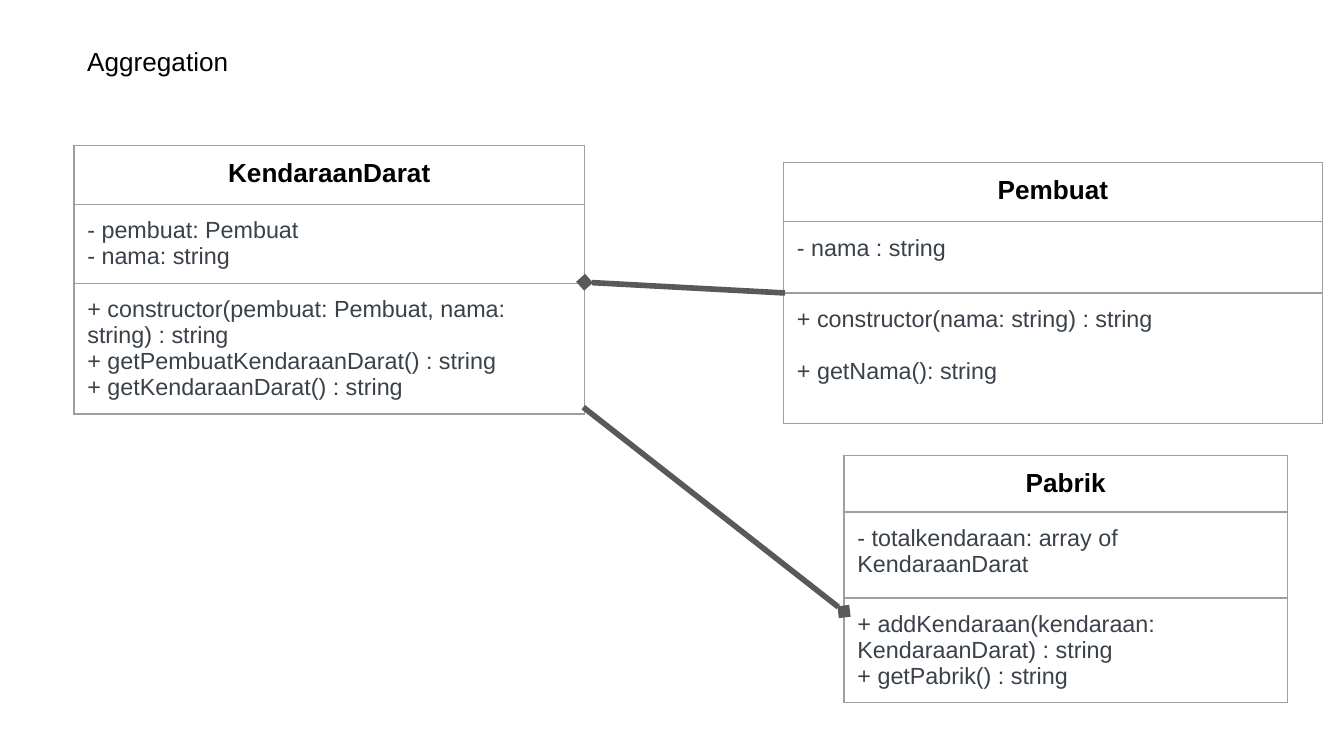
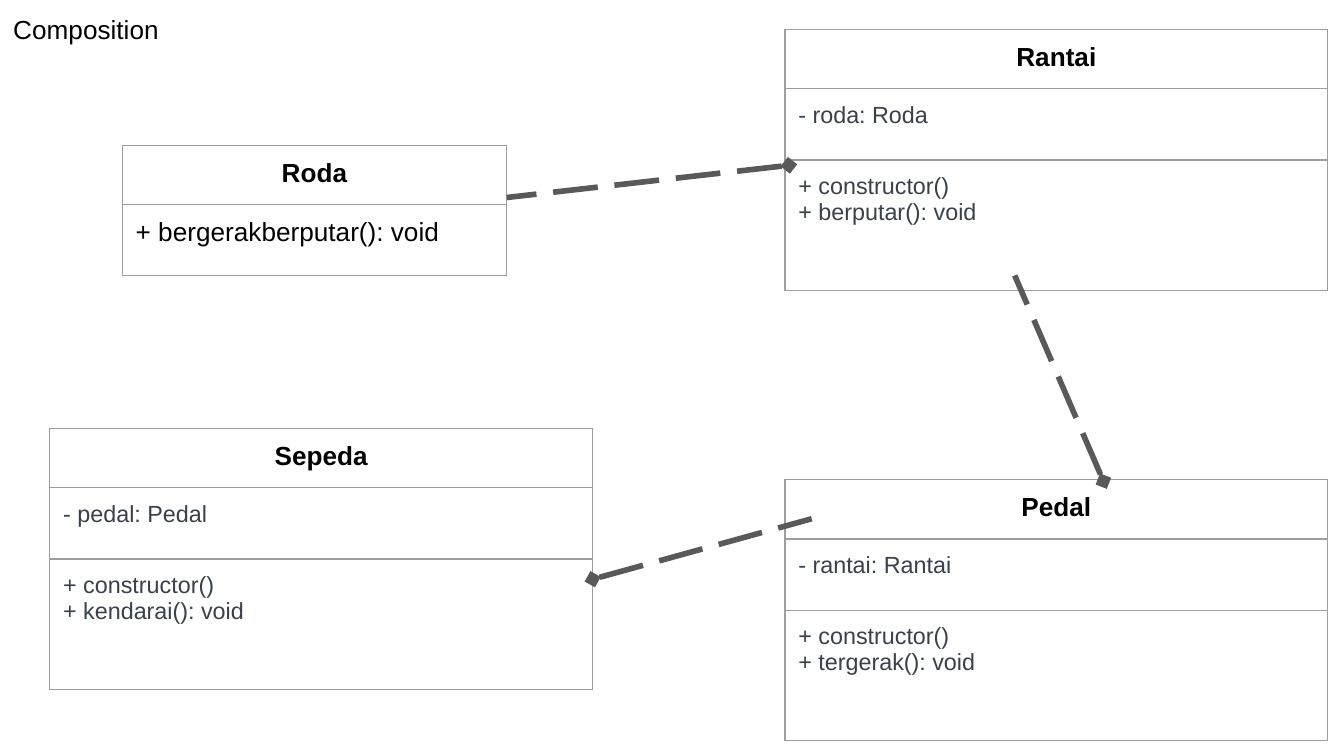
from lxml import etree
from pptx import Presentation
from pptx.dml.color import RGBColor
from pptx.enum import dml, shapes, text
from pptx.oxml import ns
from pptx.util import Inches, Pt

FONT = "Arial"
BLACK = RGBColor(0x00, 0x00, 0x00)
SLATE = RGBColor(0x3A, 0x41, 0x4A)
LINE_GRAY = RGBColor(0x59, 0x59, 0x59)
BORDER_GRAY = RGBColor(0x9E, 0x9E, 0x9E)

NAME_STYLE = {"name": FONT, "size": Pt(14), "bold": True}
TITLE_STYLE = {"name": FONT, "size": Pt(14), "bold": False}
MEMBER_STYLE = {"name": FONT, "size": Pt(12.5), "bold": False}
LARGE_MEMBERS = (TITLE_STYLE, BLACK)
SMALL_MEMBERS = (MEMBER_STYLE, SLATE)

MARGINS = {f"margin_{side}": Inches(0.1) for side in ("left", "top", "right", "bottom")}
FRAME_SIZE = Inches(3.28)
ROWS = (0.44, 0.53, 0.97)

# title: text, box; class: name, (left, top, width), row heights, members, spacing in points
# link: from, to, end that carries the diamond
DIAGRAMS = [
    {
        "title": ("Aggregation", (0.55, 0.24, 1.57, 0.43)),
        "dash": None,
        "classes": [
            ("KendaraanDarat", (0.55, 1.08, 3.8), ROWS, [
                ["- pembuat: Pembuat", "- nama: string"],
                ["+ constructor(pembuat: Pembuat, nama: string) : string",
                 "+ getPembuatKendaraanDarat() : string",
                 "+ getKendaraanDarat() : string"],
            ], 0, SMALL_MEMBERS),
            ("Pembuat", (5.83, 1.21, 4.01), ROWS, [
                ["- nama : string"],
                ["+ constructor(nama: string) : string", "+ getNama(): string"],
            ], 14, SMALL_MEMBERS),
            ("Pabrik", (6.28, 3.39, 3.3), (0.37, 0.64, 0.71), [
                ["- totalkendaraan: array of KendaraanDarat"],
                ["+ addKendaraan(kendaraan: KendaraanDarat) : string",
                 "+ getPabrik() : string"],
            ], 0, SMALL_MEMBERS),
        ],
        "links": [
            ((4.35, 2.1), (5.84, 2.18), "headEnd"),
            ((4.34, 3.03), (6.28, 4.55), "tailEnd"),
        ],
    },
    {
        "title": ("Composition", (0, 0, 3.28, 0.44)),
        "dash": dml.MSO_LINE.LONG_DASH,
        "classes": [
            ("Roda", (0.91, 1.08, 2.86), ROWS[:2],
             [["+ bergerakberputar(): void"]], 0, LARGE_MEMBERS),
            ("Rantai", (5.84, 0.22, 4.04), ROWS,
             [["- roda: Roda"], ["+ constructor()", "+ berputar(): void"]], 0, SMALL_MEMBERS),
            ("Pedal", (5.84, 3.57, 4.04), ROWS,
             [["- rantai: Rantai"], ["+ constructor()", "+ tergerak(): void"]], 0, SMALL_MEMBERS),
            ("Sepeda", (0.37, 3.19, 4.04), ROWS,
             [["- pedal: Pedal"], ["+ constructor()", "+ kendarai(): void"]], 0, SMALL_MEMBERS),
        ],
        "links": [
            ((4.41, 4.31), (6.04, 3.86), "headEnd"),
            ((8.21, 3.58), (7.55, 2.05), "headEnd"),
            ((5.87, 1.23), (3.77, 1.47), "headEnd"),
        ],
    },
]


def apply(target, values):
    for attribute, value in values.items():
        setattr(target, attribute, value)


def write(frame, lines, style, color, align=text.PP_ALIGN.LEFT, spacing=0):
    for index, line in enumerate(lines):
        paragraph = frame.add_paragraph() if index else frame.paragraphs[0]
        paragraph.alignment = align
        if index and spacing:
            paragraph.space_before = Pt(spacing)
        run = paragraph.add_run()
        run.text = line
        apply(run.font, style)
        run.font.color.rgb = color


def outline_cell(cell):
    cell.fill.background()
    properties = cell._tc.get_or_add_tcPr()
    for index, side in enumerate(("lnL", "lnR", "lnT", "lnB")):
        border = etree.Element(ns.qn(f"a:{side}"), w=str(Pt(0.75)))
        fill = etree.SubElement(border, ns.qn("a:solidFill"))
        etree.SubElement(fill, ns.qn("a:srgbClr"), val=str(BORDER_GRAY))
        properties.insert(index, border)


def add_title(slide, title, box):
    shape = slide.shapes.add_textbox(*map(Inches, box))
    apply(shape.text_frame, {**MARGINS, "word_wrap": True})
    write(shape.text_frame, [title], TITLE_STYLE, BLACK)


def add_class(slide, name, place, heights, members, spacing, member_format):
    left, top, width = map(Inches, place)
    shape = slide.shapes.add_table(len(heights), 1, left, top, width, FRAME_SIZE)
    table = shape.table
    apply(table, {"first_row": False, "horz_banding": False})
    for row, height in zip(table.rows, heights):
        row.height = Inches(height)
        apply(row.cells[0], MARGINS)
        outline_cell(row.cells[0])
    # Rows and column keep their own sizes inside the square frame.
    apply(shape, {"width": FRAME_SIZE, "height": FRAME_SIZE})
    write(table.cell(0, 0).text_frame, [name], NAME_STYLE, BLACK, text.PP_ALIGN.CENTER)
    for index, lines in enumerate(members, 1):
        write(table.cell(index, 0).text_frame, lines, *member_format, spacing=spacing)


def add_link(slide, start, end, diamond_end, dash):
    connector = slide.shapes.add_connector(
        shapes.MSO_CONNECTOR.STRAIGHT, *map(Inches, start + end))
    connector.line.color.rgb = LINE_GRAY
    connector.line.width = Pt(3)
    if dash:
        connector.line.dash_style = dash
    properties = connector._element.spPr
    etree.SubElement(properties.find(ns.qn("a:ln")), ns.qn(f"a:{diamond_end}"), type="diamond")
    etree.SubElement(properties, ns.qn("a:effectLst"))


def main():
    presentation = Presentation()
    presentation.slide_width = Inches(10)
    presentation.slide_height = presentation.slide_width * 9 // 16
    for diagram in DIAGRAMS:
        slide = presentation.slides.add_slide(presentation.slide_layouts[6])
        for entry in diagram["classes"]:
            add_class(slide, *entry)
        for link in diagram["links"]:
            add_link(slide, *link, diagram["dash"])
        add_title(slide, *diagram["title"])
    presentation.save("out.pptx")


if __name__ == "__main__":
    main()
